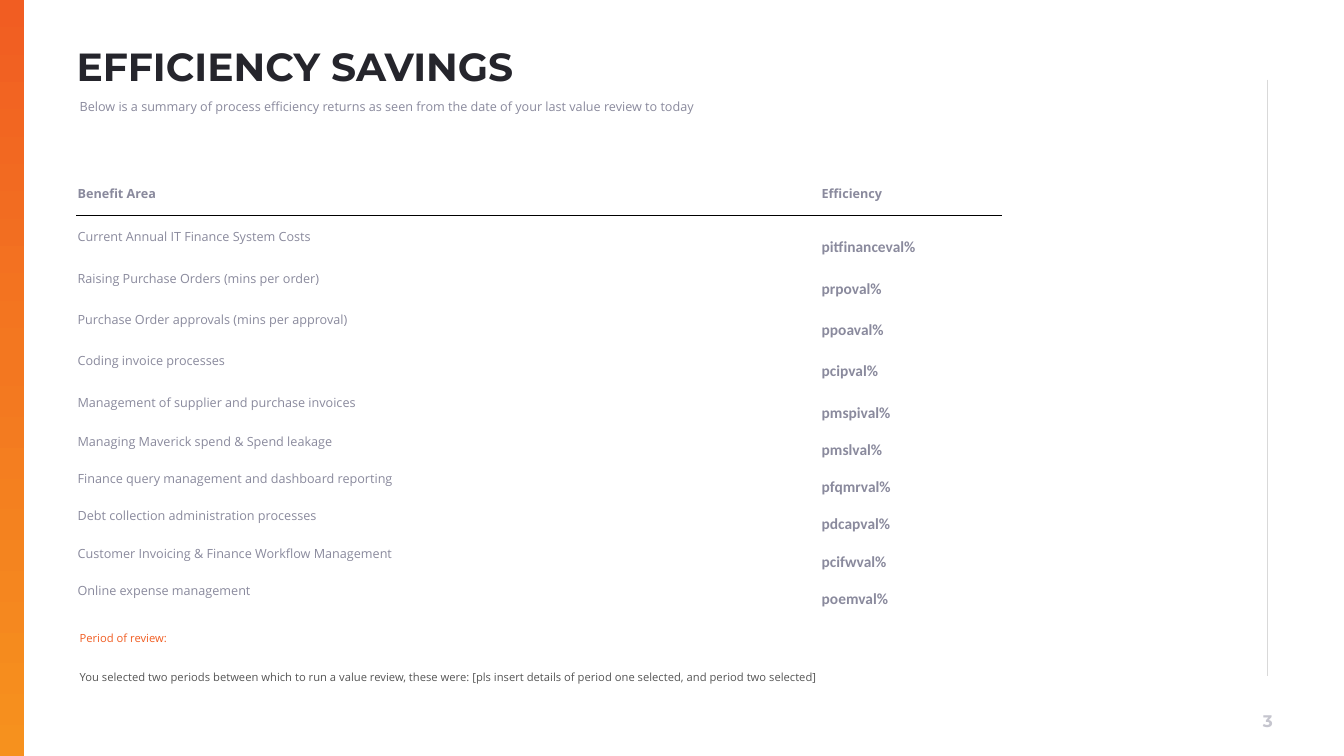
from copy import deepcopy

from lxml import etree
from pptx import Presentation
from pptx.dml.color import RGBColor
from pptx.enum import shapes, text
from pptx.oxml import ns
from pptx.util import Inches, Pt

INK = RGBColor(0x25, 0x25, 0x2C)
MUTED = RGBColor(0x8A, 0x8A, 0x9D)
BODY = RGBColor(0x55, 0x55, 0x55)
NUMBER = RGBColor(0xC5, 0xC5, 0xCE)
RULE = RGBColor(0xD9, 0xD9, 0xD9)
WHITE = RGBColor(0xFF, 0xFF, 0xFF)
BLACK = RGBColor(0, 0, 0)
ORANGE = RGBColor(0xF1, 0x5D, 0x22)
BAND_STOPS = [
    (0, ORANGE),
    (0.47, RGBColor(0xF3, 0x77, 0x20)),
    (1, RGBColor(0xF6, 0x91, 0x1E)),
]

TITLE = "EFFICIENCY SAVINGS"
SUBTITLE = "Below is a summary of process efficiency returns as seen from the date of your last value review to today"
BENEFITS = [
    ("Benefit Area", "Efficiency"),
    ("Current Annual IT Finance System Costs", "pitfinanceval%"),
    ("Raising Purchase Orders (mins per order)", "prpoval%"),
    ("Purchase Order approvals (mins per approval)", "ppoaval%"),
    ("Coding invoice processes", "pcipval%"),
    ("Management of supplier and purchase invoices", "pmspival%"),
    ("Managing Maverick spend & Spend leakage", "pmslval%"),
    ("Finance query management and dashboard reporting", "pfqmrval%"),
    ("Debt collection administration processes", "pdcapval%"),
    ("Customer Invoicing & Finance Workflow Management", "pcifwval%"),
    ("Online expense management", "poemval%"),
]
COLUMN_WIDTHS = [7.38, 1.79]
ROW_HEIGHTS = [0.45] + [0.41] * 5 + [0.37] * 5
PERIOD_HEADING = "Period of review:"
PERIOD_NOTE = (
    "You selected two periods between which to run a value review, these were: "
    "[pls insert details of period one selected, and period two selected]"
)


def style(paragraph, font_name, size, color, bold=False):
    font = paragraph.font
    font.name, font.size, font.bold = font_name, Pt(size), bold
    font.color.rgb = color


def clear_insets(frame):
    frame.margin_left = frame.margin_right = frame.margin_top = frame.margin_bottom = 0


def add_band(slide, height):
    band = slide.shapes.add_shape(shapes.MSO_SHAPE.RECTANGLE, 0, 0, Inches(0.24), height)
    band.shadow.inherit = False
    band.line.fill.background()
    band.fill.gradient()
    band.fill.gradient_angle = 270
    stop_list = next(band.element.iter(ns.qn("a:gsLst")))
    stop_list.insert(1, deepcopy(stop_list[0]))
    for stop, (position, color) in zip(band.fill.gradient_stops, BAND_STOPS):
        stop.position = position
        stop.color.rgb = color


def add_side_rule(slide):
    x = Inches(12.57)
    rule = slide.shapes.add_connector(
        shapes.MSO_CONNECTOR.STRAIGHT, x, Inches(0.79), x, Inches(6.71))
    rule.line.color.rgb = RULE
    rule.line.width = Pt(0.5)
    etree.SubElement(rule.element.spPr, ns.qn("a:effectLst"))


def add_notes_box(slide, top, width, height, lines):
    """Add indented paragraphs given as (wording, size, colour)."""
    box = slide.shapes.add_textbox(Inches(0.69), Inches(top), Inches(width), Inches(height))
    frame = box.text_frame
    frame.word_wrap = True
    clear_insets(frame)
    frame.text = "\n".join(wording for wording, _, _ in lines)
    for paragraph, (_, size, color) in zip(frame.paragraphs, lines):
        style(paragraph, "Open Sans", size, color)
        paragraph.line_spacing = 1.2
        paragraph.space_before = paragraph.space_after = Pt(8)
        paragraph._p.get_or_add_pPr().set("marL", str(Inches(0.1)))


def set_border(cell, side):
    """Draw a thin black border; side is the tag lnT or lnB."""
    properties = cell._tc.get_or_add_tcPr()
    border = etree.Element(ns.qn(f"a:{side}"), w=str(Pt(0.5)))
    fill = etree.SubElement(border, ns.qn("a:solidFill"))
    etree.SubElement(fill, ns.qn("a:srgbClr"), val=str(BLACK))
    properties.insert(0, border)


def add_benefit_table(slide):
    table = slide.shapes.add_table(
        len(BENEFITS), len(COLUMN_WIDTHS), Inches(0.76), Inches(1.69),
        Inches(sum(COLUMN_WIDTHS)), Inches(sum(ROW_HEIGHTS))).table
    table.first_row = table.horz_banding = False
    for column, width in zip(table.columns, COLUMN_WIDTHS):
        column.width = Inches(width)
    for row_index, (row, values) in enumerate(zip(table.rows, BENEFITS)):
        row.height = Inches(ROW_HEIGHTS[row_index])
        for column_index, (cell, value) in enumerate(zip(row.cells, values)):
            is_header = row_index == 0
            is_value = column_index == 1 and not is_header
            cell.text = value
            cell.margin_left = cell.margin_right = cell.margin_top = Inches(0.01)
            cell.margin_bottom = 0
            cell.vertical_anchor = text.MSO_ANCHOR.BOTTOM if is_value else text.MSO_ANCHOR.MIDDLE
            cell.fill.solid()
            cell.fill.fore_color.rgb = WHITE
            font_name, size = ("Calibri", 11) if is_value else ("Open Sans", 9)
            style(cell.text_frame.paragraphs[0], font_name, size, MUTED, is_header or is_value)
            if row_index < 2:
                set_border(cell, "lnB" if is_header else "lnT")


def add_title(slide):
    title = slide.shapes.title
    title.left, title.top = Inches(0.76), Inches(0.47)
    title.width, title.height = Inches(11.81), Inches(0.43)
    frame = title.text_frame
    frame.text = TITLE
    frame.auto_size = text.MSO_AUTO_SIZE.NONE
    frame.vertical_anchor = text.MSO_ANCHOR.TOP
    clear_insets(frame)
    paragraph = frame.paragraphs[0]
    paragraph.alignment = text.PP_ALIGN.LEFT
    paragraph.line_spacing = 0.9
    style(paragraph, "Montserrat", 28, INK, True)


def add_slide_number(slide):
    box = slide.shapes.add_textbox(Inches(12.36), Inches(6.95), Inches(0.43), Inches(0.4))
    frame = box.text_frame
    frame.word_wrap = True
    frame.text = "3"
    frame.vertical_anchor = text.MSO_ANCHOR.MIDDLE
    frame.paragraphs[0].alignment = text.PP_ALIGN.CENTER
    style(frame.paragraphs[0], "Montserrat", 12, NUMBER, True)


def main():
    presentation = Presentation()
    presentation.slide_width, presentation.slide_height = Inches(13.33), Inches(7.5)
    slide = presentation.slides.add_slide(presentation.slide_layouts[5])
    add_side_rule(slide)
    add_band(slide, presentation.slide_height)
    add_slide_number(slide)
    add_title(slide)
    add_notes_box(slide, 0.95, 10.73, 0.43, [(SUBTITLE, 9, MUTED)])
    add_benefit_table(slide)
    add_notes_box(slide, 6.24, 10.8, 0.71, [(PERIOD_HEADING, 8, ORANGE), (PERIOD_NOTE, 8, BODY)])
    presentation.save("out.pptx")


if __name__ == "__main__":
    main()
